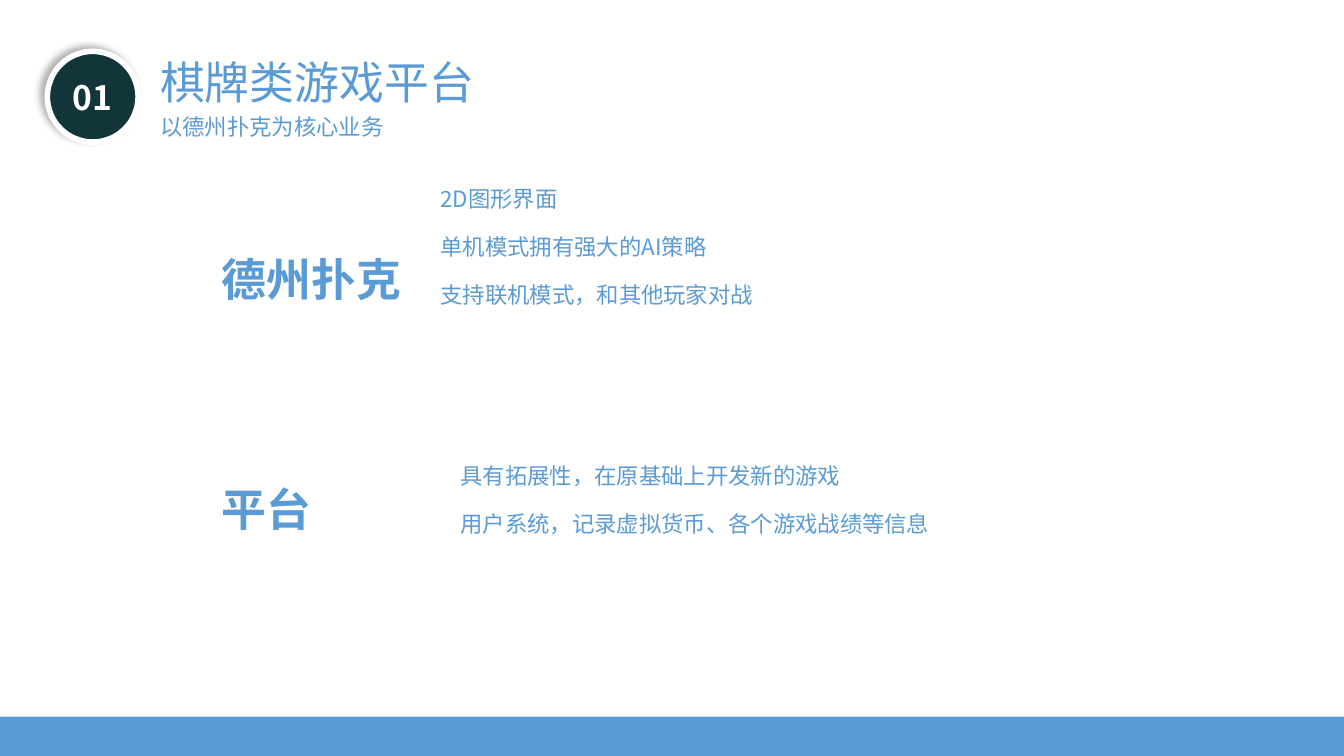
"""Builds a slide on a card game platform."""
from lxml.etree import SubElement
from pptx import Presentation
from pptx.dml.color import RGBColor
from pptx.enum.shapes import MSO_SHAPE as Shape
from pptx.enum.text import MSO_ANCHOR as Anchor, PP_ALIGN as Align
from pptx.oxml.ns import qn
from pptx.util import Inches, Pt

BLUE = RGBColor(0x5B, 0x9B, 0xD5)
DARK = RGBColor(0x12, 0x35, 0x39)
WHITE = RGBColor(0xFF, 0xFF, 0xFF)
FACE = "Noto Sans CJK SC"
WIDE, HIGH = 13.33, 7.5


def style(para, size, color=BLUE, bold=False):
    """Set the font of a paragraph for Latin and Chinese text."""
    font = para.font
    font.size, font.bold, font.name = Pt(size), bold, FACE
    font.color.rgb = color
    base = para._p.pPr.find(qn("a:defRPr"))
    SubElement(base, qn("a:ea"), typeface=FACE)


def write(slide, box, lines, size, bold=False, wrap=True, gap=0):
    """Add a text box with one paragraph per line."""
    frame = slide.shapes.add_textbox(*map(Inches, box)).text_frame
    frame.word_wrap = wrap
    for i, line in enumerate(lines):
        para = frame.add_paragraph() if i else frame.paragraphs[0]
        para.text = line
        para.space_before = Pt(gap if i else 0)
        style(para, size, bold=bold)


def shade(shape):
    """Give a shape a soft shadow to the upper left."""
    shape.shadow.inherit = False
    effects = shape._element.spPr.find(qn("a:effectLst"))
    outer = SubElement(effects, qn("a:outerShdw"), blurRad=str(Pt(5.1)),
                       dist=str(Pt(4)), dir=str(215 * 60000),
                       algn="ctr", rotWithShape="0")
    black = SubElement(outer, qn("a:srgbClr"), val="000000")
    SubElement(black, qn("a:alpha"), val="30000")


def badge(slide, box, label):
    """Draw the round section number."""
    disc = slide.shapes.add_shape(Shape.OVAL, *map(Inches, box))
    disc.fill.solid()
    disc.fill.fore_color.rgb = DARK
    disc.line.color.rgb = WHITE
    disc.line.width = Pt(4)
    shade(disc)
    frame = disc.text_frame
    frame.vertical_anchor = Anchor.MIDDLE
    para = frame.paragraphs[0]
    para.text = label
    para.alignment = Align.CENTER
    style(para, 24, WHITE, True)


def header(slide, box, label, title, note):
    """Place the badge, title and subtitle."""
    left, top, width, height = box
    badge(slide, (left, top + 0.02, 0.9, 0.9), label)
    text = left + 1.02
    write(slide, (text, top + 0.58, 2.45, 0.37), [note], 16, wrap=False)
    write(slide, (text, top, width - 1.02, 0.64), [title], 32)


def topic(slide, box, name, span, drop, inset, items):
    """Place a bold name on the left and its points on the right."""
    left, top, width, height = box
    write(slide, (left, top + drop, span, 0.64), [name], 32, True, False)
    write(slide, (left + inset, top, width - inset, height), items, 16, gap=15)


def footer(slide, box):
    """Draw the band along the bottom edge."""
    band = slide.shapes.add_shape(Shape.RECTANGLE, *map(Inches, box))
    band.shadow.inherit = False
    band.fill.solid()
    band.fill.fore_color.rgb = BLUE
    band.line.fill.background()


def main():
    """Build and save the slide."""
    deck = Presentation()
    deck.slide_width, deck.slide_height = Inches(WIDE), Inches(HIGH)
    slide = deck.slides.add_slide(deck.slide_layouts[6])
    header(slide, (0.47, 0.49, 4.41, 0.95), "01", "棋牌类游戏平台",
           "以德州扑克为核心业务")
    footer(slide, (0, HIGH - 0.39, WIDE, 0.39))
    topic(slide, (2.1, 1.79, 5.56, 1.99), "德州扑克", 2, 0.66, 2.17,
          ["2D图形界面", "单机模式拥有强大的AI策略",
           "支持联机模式，和其他玩家对战"])
    topic(slide, (2.1, 4.54, 8.01, 1.18), "平台", 1.1, 0.19, 2.37,
          ["具有拓展性，在原基础上开发新的游戏",
           "用户系统，记录虚拟货币、各个游戏战绩等信息"])
    deck.save("out.pptx")


if __name__ == "__main__":
    main()
